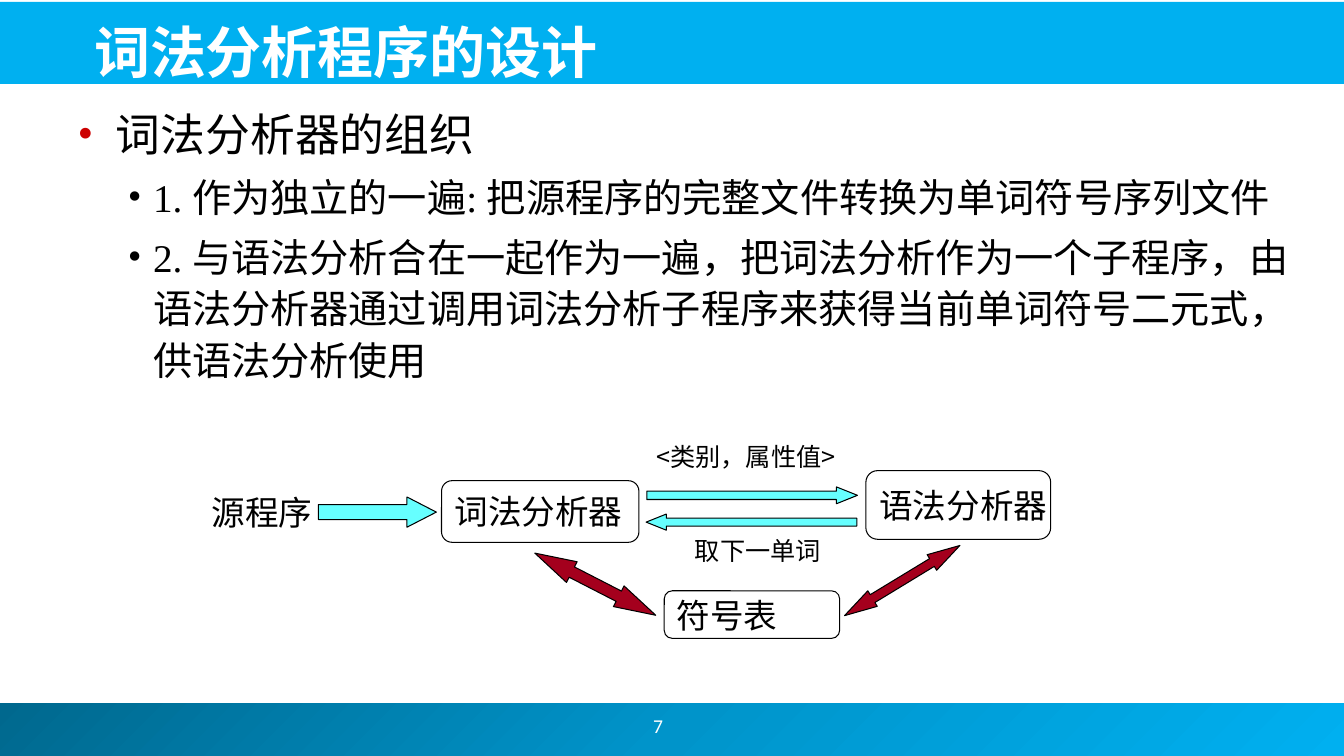
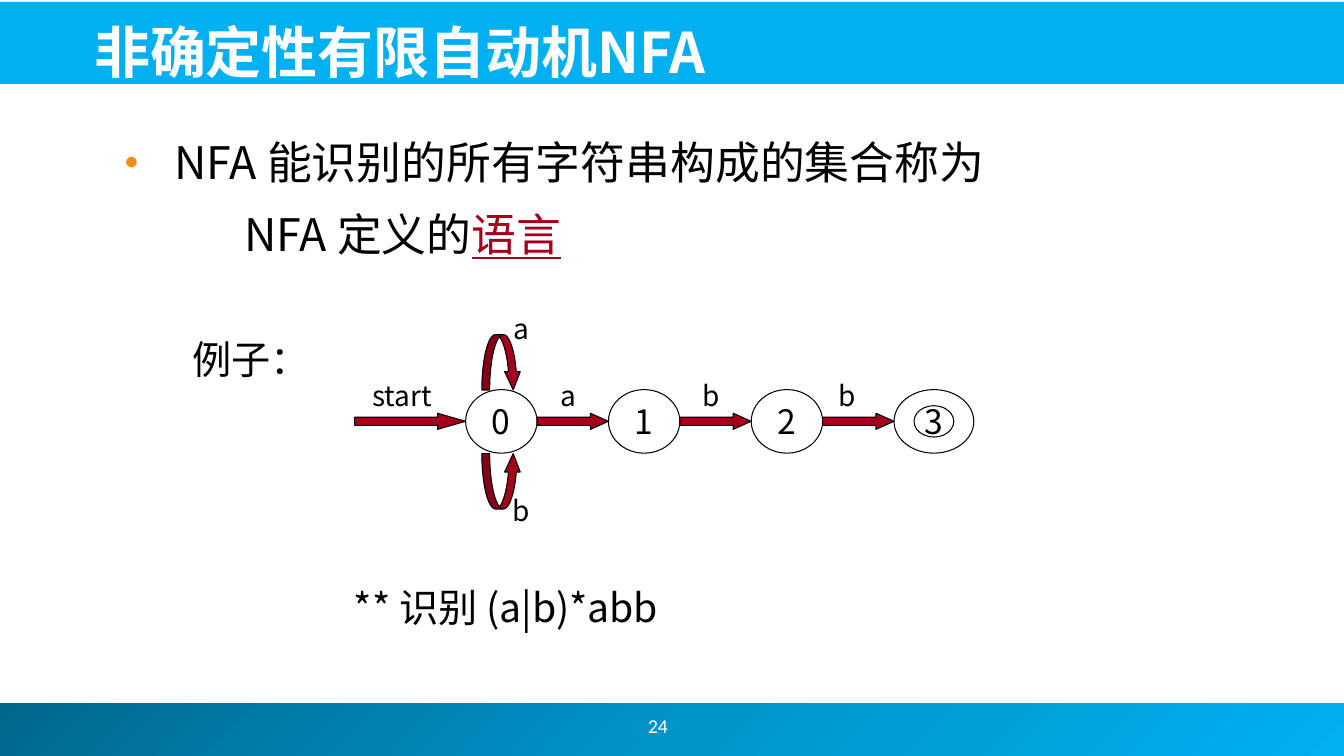
"""Build two lecture slides on lexical analysis and finite automata."""
from copy import deepcopy

from lxml import etree
from pptx import Presentation
from pptx import util as u
from pptx.dml.color import RGBColor
from pptx.enum import shapes, text
from pptx.oxml.ns import qn

Pt = u.Pt
KIND = shapes.MSO_SHAPE
ALIGN = text.PP_ALIGN
ANCHOR = text.MSO_ANCHOR

COLORS = {
    "band": "00B0F0", "deep": "00688E", "mid": "0094CA", "white": "FFFFFF",
    "black": "000000", "red": "A4001D", "cyan": "66FFFF",
    "bullet": "CC0000", "orange": "EF8E1C",
}
SANS, SERIF, NUMBER = "Noto Sans CJK JP", "Times New Roman", "Calibri"
WIDTH, HEIGHT = 960, 540
TITLE_BAND = (0, 1.4, WIDTH, 58.5)
FOOTER_BAND = (0, 502.5, WIDTH, 37.5)
TITLE_BOX = (60, 3.6, 868, 57)
NUMBER_BOX = (366, 500.4, 208, 36)

TOP_ITEM = dict(left=27.4, hang=27.4, bullet="•", bullet_color="bullet", line=45, size=32)
SUB_ITEM = dict(left=54, hang=18, bullet="•", bullet_color="black", line=37,
                size=28, before=5.6, level=1)
NFA_ITEM = dict(left=72, hang=36, bullet="●", bullet_color="orange", bullet_size=55,
                line=45, size=32)
NFA_MORE = dict(left=122, line=45, size=32, before=6.4)

SLIDES = [
    dict(
        title="词法分析程序的设计", number="7", body_box=(48.2, 66.2, 880, 252), font=SERIF,
        body=[
            (["词法分析器的组织"], TOP_ITEM),
            (["1. 作为独立的一遍: 把源程序的完整文件转换为单词符号序列文件"], SUB_ITEM),
            (["2. 与语法分析合在一起作为一遍，把词法分析作为一个子程序，由语法分析器"
              "通过调用词法分析子程序来获得当前单词符号二元式，供语法分析使用"], SUB_ITEM),
        ],
    ),
    dict(
        title="非确定性有限自动机NFA", number="24", body_box=(45.4, 85.7, 851, 112), font=SANS,
        body=[
            (["NFA 能识别的所有字符串构成的集合称为"], NFA_ITEM),
            (["NFA 定义的", ("语言", dict(color="red", underline=True))], NFA_MORE),
        ],
    ),
]

MODULES = [
    ("词法分析器", (315.4, 343.4, 141, 44)),
    ("语法分析器", (618.5, 336.2, 132, 49)),
    ("符号表", (474.5, 422, 125.3, 34)),
]
FLOWS = [
    (KIND.RIGHT_ARROW, (227.5, 355, 84.2, 21.6), 0, 0.97, "cyan"),
    (KIND.RIGHT_ARROW, (462, 347.8, 150.5, 12), 0, 1.25, "cyan"),
    (KIND.RIGHT_ARROW, (461.5, 367.2, 150.5, 11.5), 180, 1.25, "cyan"),
    (KIND.LEFT_RIGHT_ARROW, (376.6, 409, 97.2, 16.6), 27.2, 1.79, "red"),
    (KIND.LEFT_RIGHT_ARROW, (596.2, 408.2, 96.5, 13), 148.7, 1.8, "red"),
]
FLOW_LABELS = [
    ("源程序", (151.2, 344, 76, 44), 24, ALIGN.LEFT),
    ("<类别，属性值>", (455.8, 311.8, 154, 29), 18, ALIGN.CENTER),
    ("取下一单词", (480.2, 378.7, 122.4, 29), 18, ALIGN.CENTER),
]

STATES = ["0", "1", "2", "3"]
STATE_LEFT, STATE_TOP, STATE_STEP, STATE_W, STATE_H = 332.6, 278.3, 102, 51, 45.4
FINAL_W, FINAL_INNER = 57, (28.4, 22.4)
START_ARROW = (253.4, 79.2)
ARROW_TOP, ARROW_H = 295.2, 11.5
EDGE_LABELS = [("start", 287.3), ("a", 406), ("b", 508), ("b", 604.8)]
EDGE_LABEL_TOP, LABEL_H = 267, 31
LOOPS = [("a", 239, 219, True), ("b", 324, 349, False)]
LOOP_LEFT, LOOP_W, LOOP_H, LOOP_LABEL_X = 344.2, 28, 39.6, 372.2
NOTES = [("例子：", (137.5, 235, 200, 42)), ("** 识别 (a|b)*abb", (252.7, 412.5, 300, 42))]


def rgb(name):
    return RGBColor.from_string(COLORS[name])


def points(box):
    return [Pt(value) for value in box]


def add_child(parent, tag, **attributes):
    child = etree.SubElement(parent, qn(tag))
    for name, value in attributes.items():
        child.set(name, str(value))
    return child


def format_span(span, size, font, color, bold, underline):
    span.font.size = Pt(size)
    span.font.name = font
    span.font.bold = bold
    span.font.underline = underline
    span.font.color.rgb = rgb(color)
    latin = span.font.element.find(qn("a:latin")) if hasattr(span.font, "element") else None
    if latin is None:
        latin = span._r.find(".//" + qn("a:latin"))
    east = deepcopy(latin)
    east.tag = qn("a:ea")
    east.set("typeface", NUMBER if font == NUMBER else SANS)
    latin.addnext(east)


def format_bullet(para, left, hang, bullet, bullet_color, bullet_size):
    props = para._p.get_or_add_pPr()
    props.set("marL", str(int(Pt(left))))
    props.set("indent", str(-int(Pt(hang))))
    if not bullet:
        add_child(props, "a:buNone")
        return
    add_child(add_child(props, "a:buClr"), "a:srgbClr", val=COLORS[bullet_color])
    add_child(props, "a:buSzPct", val=bullet_size * 1000)
    add_child(props, "a:buFont", typeface=SERIF)
    add_child(props, "a:buChar", char=bullet)


def write(para, spans, size=24, font=SANS, color="black", bold=False, underline=False,
          align=ALIGN.LEFT, line=None, before=0, level=0, left=0, hang=0,
          bullet=None, bullet_color="black", bullet_size=100):
    """Fill a paragraph with spans, each a string or a (string, overrides) pair."""
    para.alignment = align
    para.level = level
    para.space_before = Pt(before)
    if line:
        para.line_spacing = Pt(line)
    format_bullet(para, left, hang, bullet, bullet_color, bullet_size)
    for item in [spans] if isinstance(spans, str) else spans:
        words, changes = (item, {}) if isinstance(item, str) else item
        span = para.add_run()
        span.text = words
        style = dict(size=size, font=font, color=color, bold=bold, underline=underline)
        format_span(span, **{**style, **changes})


def set_frame(frame, anchor, wrap, margins=(0, 0, 0, 0)):
    frame.word_wrap = wrap
    frame.auto_size = text.MSO_AUTO_SIZE.NONE
    frame.vertical_anchor = anchor
    (frame.margin_left, frame.margin_top,
     frame.margin_right, frame.margin_bottom) = points(margins)


def add_label(slide, words, box, **style):
    frame = slide.shapes.add_textbox(*points(box)).text_frame
    set_frame(frame, ANCHOR.MIDDLE, True)
    write(frame.paragraphs[0], words, **style)


def add_figure(slide, kind, box, fill=None, outline="black", adjust=()):
    shape = slide.shapes.add_shape(kind, *points(box))
    shape.shadow.inherit = False
    if fill:
        shape.fill.solid()
        shape.fill.fore_color.rgb = rgb(fill)
    else:
        shape.fill.background()
    if outline:
        shape.line.color.rgb = rgb(outline)
        shape.line.width = Pt(0.75)
    else:
        shape.line.fill.background()
    for index, value in enumerate(adjust):
        shape.adjustments[index] = value
    return shape


def write_in(shape, words, align, margin=0):
    set_frame(shape.text_frame, ANCHOR.MIDDLE, False, (margin, 0, 0, 0))
    write(shape.text_frame.paragraphs[0], words, align=align)


def add_bands(slide, master):
    """Draw the two bands and move them to the master, behind everything."""
    title_band = add_figure(slide, KIND.RECTANGLE, TITLE_BAND, "band", None)
    footer = add_figure(slide, KIND.RECTANGLE, FOOTER_BAND, "band", None)
    footer.fill.gradient()
    footer.fill.gradient_angle = 315
    stops = footer.element.find(".//" + qn("a:gsLst"))
    stops.append(deepcopy(stops[0]))
    ramp = [(0, "deep"), (0.5, "mid"), (1, "band")]
    for stop, (position, color) in zip(footer.fill.gradient_stops, ramp):
        stop.position = position
        stop.color.rgb = rgb(color)
    for band in (title_band, footer):
        master.shapes.element.insert(2, band.element)


def place(shape, box):
    shape.left, shape.top, shape.width, shape.height = points(box)


def fill_slide(slide, content):
    title, body = slide.shapes.title, slide.placeholders[1]
    set_frame(title.text_frame, ANCHOR.BOTTOM, True, (7.2, 0, 7.2, 0))
    write(title.text_frame.paragraphs[0], content["title"], size=40, color="white", bold=True)
    place(body, content["body_box"])
    frame = body.text_frame
    set_frame(frame, ANCHOR.TOP, True, (7.2, 3.6, 7.2, 3.6))
    for index, (spans, style) in enumerate(content["body"]):
        para = frame.add_paragraph() if index else frame.paragraphs[0]
        write(para, spans, font=content["font"], **style)
    add_label(slide, content["number"], NUMBER_BOX, size=14, font=NUMBER,
              color="white", align=ALIGN.CENTER)


def draw_analyzer(slide):
    for words, box in MODULES:
        module = add_figure(slide, KIND.ROUNDED_RECTANGLE, box, adjust=[0.17])
        write_in(module, words, ALIGN.LEFT, 7.2)
    for kind, box, turn, head, color in FLOWS:
        add_figure(slide, kind, box, color, adjust=[0.5, head]).rotation = turn
    for words, box, size, align in FLOW_LABELS:
        add_label(slide, words, box, size=size, align=align)


def draw_automaton(slide):
    arrows = [(*START_ARROW, 1.74)]
    for index, name in enumerate(STATES):
        left = STATE_LEFT + index * STATE_STEP
        final = name == STATES[-1]
        width = FINAL_W if final else STATE_W
        state = add_figure(slide, KIND.OVAL, (left, STATE_TOP, width, STATE_H))
        if final:
            inner_w, inner_h = FINAL_INNER
            state = add_figure(slide, KIND.OVAL, (
                left + (width - inner_w) / 2, STATE_TOP + (STATE_H - inner_h) / 2,
                inner_w, inner_h))
        else:
            arrows.append((left + width, STATE_STEP - width, 1.12))
        write_in(state, name, ALIGN.CENTER)
    for left, width, head in arrows:
        add_figure(slide, KIND.RIGHT_ARROW, (left, ARROW_TOP, width, ARROW_H),
                   "red", adjust=[0.5, head])
    labels = [(words, x, EDGE_LABEL_TOP) for words, x in EDGE_LABELS]
    for words, top, label_top, flipped in LOOPS:
        loop = add_figure(slide, KIND.CURVED_UP_ARROW, (LOOP_LEFT, top, LOOP_W, LOOP_H),
                          "red", adjust=[0.2, 0.4, 0.47])
        if flipped:
            loop.element.spPr.find(qn("a:xfrm")).set("flipV", "1")
        labels.append((words, LOOP_LABEL_X, label_top))
    for words, x, top in labels:
        add_label(slide, words, (x - 40, top, 80, LABEL_H), size=20, align=ALIGN.CENTER)
    for words, box in NOTES:
        add_label(slide, words, box, size=28)


def main():
    deck = Presentation()
    deck.slide_width, deck.slide_height = Pt(WIDTH), Pt(HEIGHT)
    layout = deck.slide_layouts[1]
    place(layout.placeholders[0], TITLE_BOX)
    pages = [deck.slides.add_slide(layout) for _ in SLIDES]
    add_bands(pages[0], deck.slide_master)
    for page, content, draw in zip(pages, SLIDES, (draw_analyzer, draw_automaton)):
        fill_slide(page, content)
        draw(page)
    deck.save("out.pptx")


if __name__ == "__main__":
    main()
